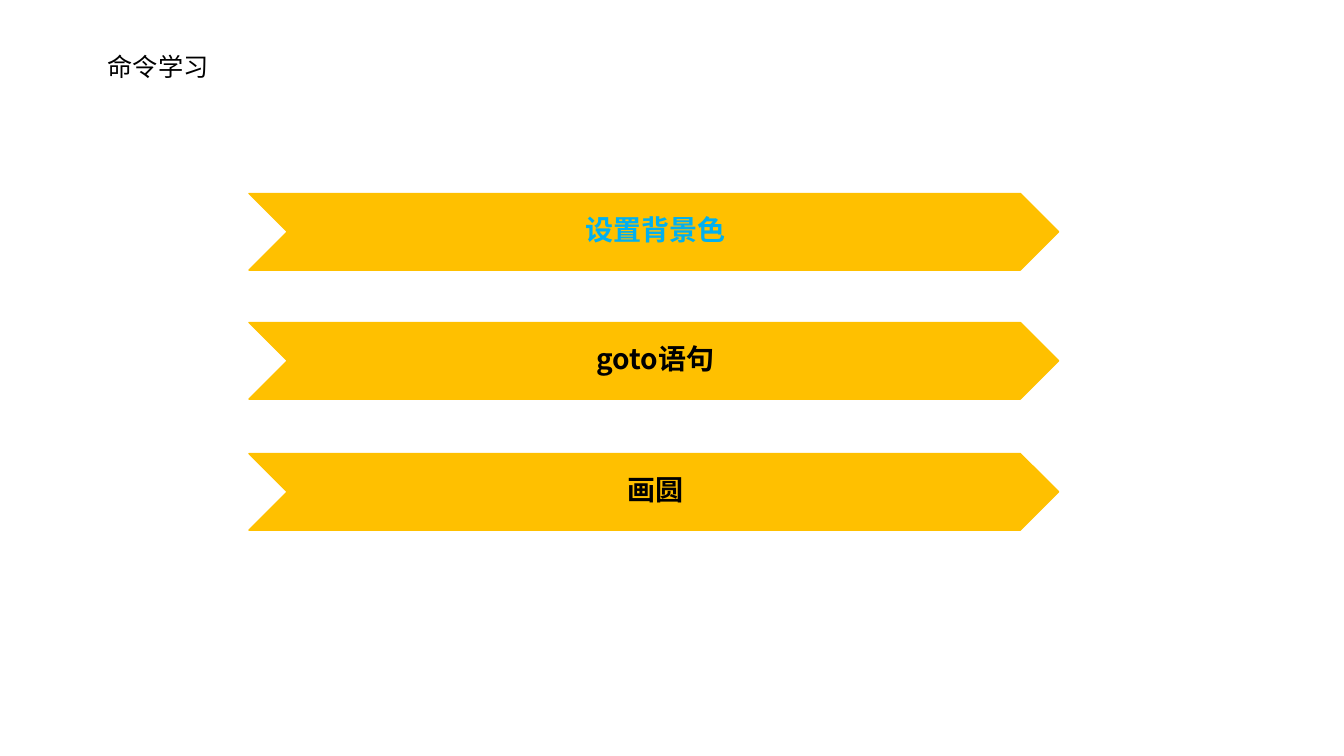
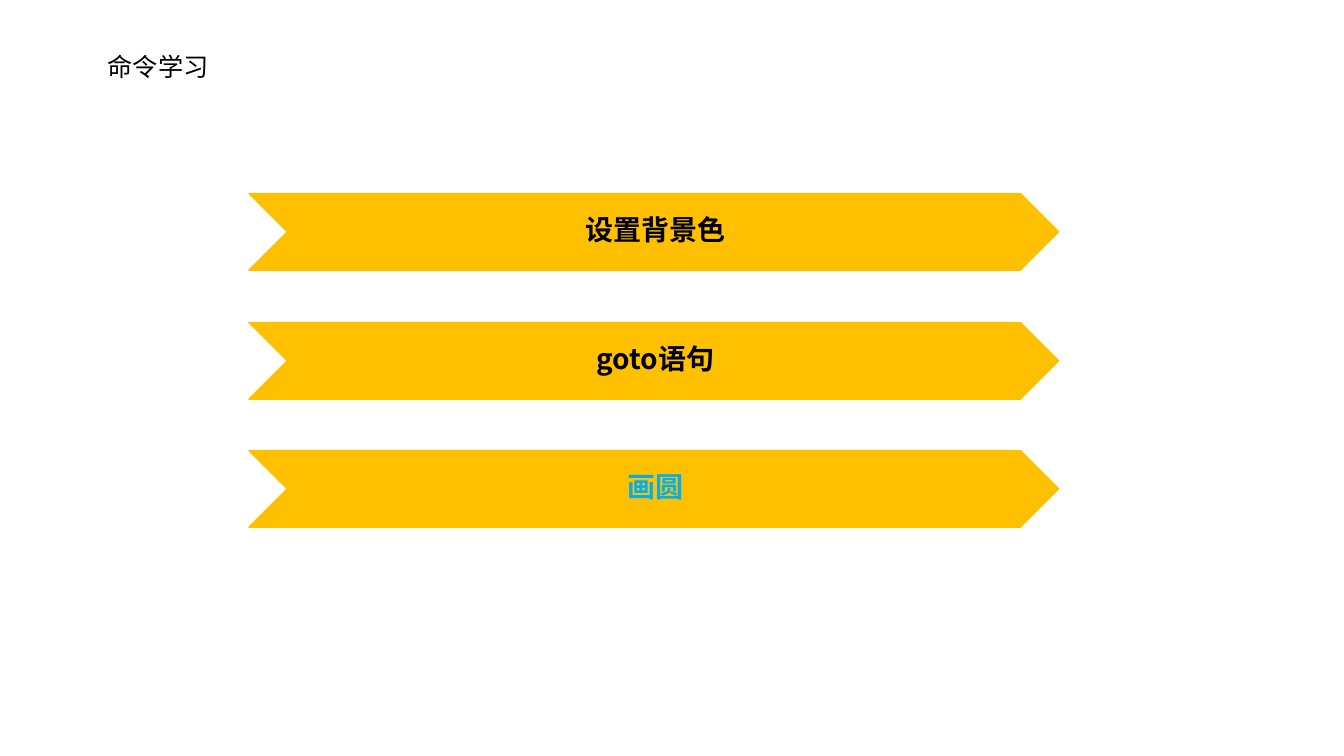
from pptx import Presentation
from pptx.dml.color import RGBColor
from pptx.enum.shapes import MSO_SHAPE
from pptx.enum.text import MSO_ANCHOR, MSO_AUTO_SIZE, PP_ALIGN
from pptx.oxml.ns import qn
from pptx.util import Inches, Pt
from lxml import etree

CHEVRON = MSO_SHAPE.CHEVRON
MIDDLE = MSO_ANCHOR.MIDDLE
GROW = MSO_AUTO_SIZE.SHAPE_TO_FIT_TEXT
LEFT, CENTER = PP_ALIGN.LEFT, PP_ALIGN.CENTER

TITLE = "命令学习"
COMMANDS = ["设置背景色", "goto语句", "画圆"]
SLIDES = [
    {"current": "设置背景色", "tops": [1.92, 3.2, 4.5]},
    {"current": "画圆", "tops": [1.92, 3.2, 4.47]},
]

FONT = "Noto Sans CJK SC"
BLACK, GOLD, BLUE, WHITE = "000000", "FFC000", "00B0F0", "FFFFFF"
BAND_LEFT, BAND_WIDTH, BAND_HEIGHT = 2.47, 8.03, 0.76


def color(value):
    """Turn a hex string into a colour."""
    return RGBColor.from_string(value)


def write(frame, text, size, ink, bold=False, align=LEFT):
    """Write one run into the first paragraph of a frame."""
    para = frame.paragraphs[0]
    para.alignment = align
    span = para.add_run()
    span.text = text
    span.font.name = FONT
    span.font.size = Pt(size)
    span.font.bold = bold
    span.font.color.rgb = color(ink)
    east_asian = etree.SubElement(span.font._element, qn("a:ea"))
    east_asian.set("typeface", FONT)
    return para


def add_title(page):
    """Add the title at the top left."""
    box = page.shapes.add_textbox(Inches(0.97), Inches(0.46), Inches(4.08), Inches(0.4))
    frame = box.text_frame
    frame.word_wrap = True
    frame.auto_size = GROW
    write(frame, TITLE, 18, BLACK)


def add_band(page, top, text, ink):
    """Add one chevron band with its label."""
    band = page.shapes.add_shape(
        CHEVRON, Inches(BAND_LEFT), Inches(top), Inches(BAND_WIDTH), Inches(BAND_HEIGHT)
    )
    band.shadow.inherit = False
    band.fill.solid()
    band.fill.fore_color.rgb = color(GOLD)
    band.line.color.rgb = color(GOLD)
    band.line.width = Pt(1)
    frame = band.text_frame
    frame.word_wrap = True
    frame.vertical_anchor = MIDDLE
    frame.margin_left, frame.margin_right = Inches(0.03), 0
    frame.margin_top = frame.margin_bottom = Inches(0.01)
    write(frame, text, 20, ink, True, CENTER).line_spacing = 0.9


def main():
    """Build the deck and save it."""
    deck = Presentation()
    deck.slide_width, deck.slide_height = Inches(13.33), Inches(7.5)
    for content in SLIDES:
        page = deck.slides.add_slide(deck.slide_layouts[6])
        page.background.fill.solid()
        page.background.fill.fore_color.rgb = color(WHITE)
        add_title(page)
        for command, top in zip(COMMANDS, content["tops"]):
            add_band(page, top, command, BLUE if command == content["current"] else BLACK)
    deck.save("out.pptx")


if __name__ == "__main__":
    main()
